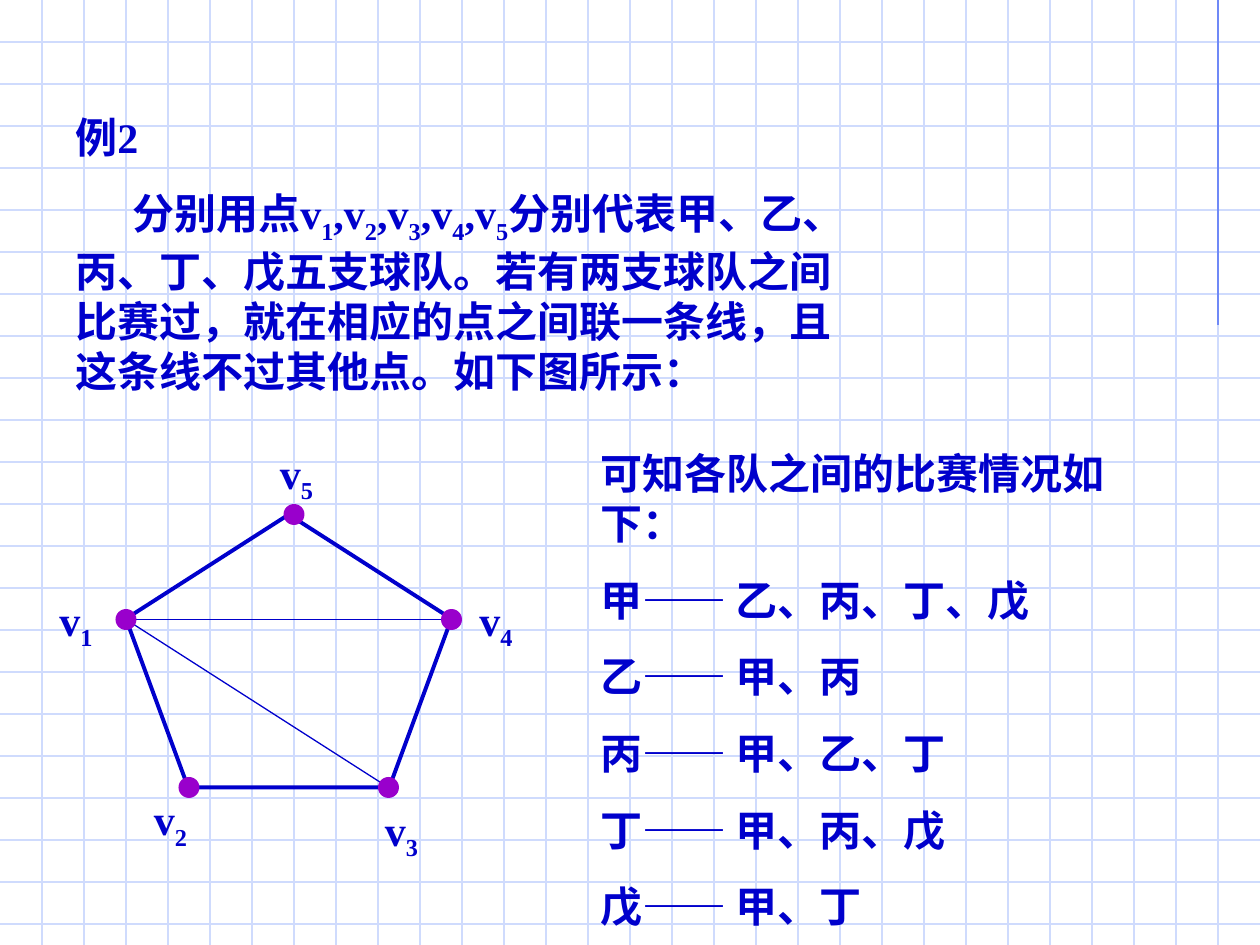
from dataclasses import dataclass

from pptx import Presentation
from pptx.dml.color import RGBColor
from pptx.enum.shapes import MSO_CONNECTOR, MSO_SHAPE
from pptx.enum.text import MSO_AUTO_SIZE, PP_ALIGN
from pptx.oxml.ns import qn
from pptx.util import Pt
from lxml.etree import SubElement


@dataclass(frozen=True)
class Theme:
    """Colours, font and type sizes of the slide."""
    ink: RGBColor = RGBColor(0x00, 0x00, 0xCC)
    node: RGBColor = RGBColor(0x99, 0x00, 0xCC)
    grid: RGBColor = RGBColor(0xCF, 0xDB, 0xFD)
    margin: RGBColor = RGBColor(0x6F, 0x89, 0xF7)
    font: str = "Times New Roman"
    size: int = 24
    space_before: int = 15
    hairline: float = 0.75
    outline: float = 2.25


THEME = Theme()
WIDTH, HEIGHT, GRID_STEP = 720, 540, 24
NODE_SIZE = 12
LABEL_WIDTH, LABEL_HEIGHT = 60, 40

NODES = {
    "v_1": (72, 354),
    "v_2": (108, 450),
    "v_3": (222, 450),
    "v_4": (258, 354),
    "v_5": (168, 294),
}
LABEL_POSITIONS = {
    "v_1": (0, 336),
    "v_2": (54, 450),
    "v_3": (186, 456),
    "v_4": (240, 336),
    "v_5": (126, 252),
}
CHORDS = [("v_1", "v_3"), ("v_1", "v_4")]

EXAMPLE = [
    "例2",
    "分别用点v_1,v_2,v_3,v_4,v_5分别代表甲、乙、丙、丁、戊五支球队。"
    "若有两支球队之间比赛过，就在相应的点之间联一条线，且这条线不过其他点。如下图所示：",
]
MATCHES = {
    "甲": "乙、丙、丁、戊",
    "乙": "甲、丙",
    "丙": "甲、乙、丁",
    "丁": "甲、丙、戊",
    "戊": "甲、丁",
}


def add_line(slide, start, end, color):
    """Draw a thin straight line without a shadow."""
    line = slide.shapes.add_connector(
        MSO_CONNECTOR.STRAIGHT, *(Pt(value) for value in (*start, *end)))
    line.line.color.rgb = color
    line.line.width = Pt(THEME.hairline)
    SubElement(line._element.spPr, qn("a:effectLst"))


def add_span(para, text, subscript=False):
    """Append a styled run, lowered when it is a subscript."""
    span = para.add_run()
    span.text = text
    span.font.name = THEME.font
    span.font.size = Pt(THEME.size)
    span.font.bold = True
    span.font.color.rgb = THEME.ink
    if subscript:
        span._r.get_or_add_rPr().set("baseline", "-25000")


def fill_paragraph(para, text, align):
    """Write text in which an underscore lowers the next character."""
    para.alignment = align
    para.space_before = Pt(THEME.space_before)
    para._p.get_or_add_pPr().set("hangingPunct", "0")
    head, *tails = text.split("_")
    add_span(para, head)
    for tail in tails:
        add_span(para, tail[0], subscript=True)
        if tail[1:]:
            add_span(para, tail[1:])


def add_text(slide, left, top, width, height, lines, align=PP_ALIGN.LEFT):
    """Add a wrapping text box with one paragraph per line and return it."""
    box = slide.shapes.add_textbox(Pt(left), Pt(top), Pt(width), Pt(height))
    frame = box.text_frame
    frame.word_wrap = True
    frame.auto_size = MSO_AUTO_SIZE.SHAPE_TO_FIT_TEXT
    for index, text in enumerate(lines):
        para = frame.add_paragraph() if index else frame.paragraphs[0]
        fill_paragraph(para, text, align)
    return box


def add_grid(slide):
    """Rule the page like squared paper with a margin line."""
    for y in range(GRID_STEP, HEIGHT, GRID_STEP):
        add_line(slide, (0, y), (WIDTH, y), THEME.grid)
    for x in range(GRID_STEP, WIDTH, GRID_STEP):
        add_line(slide, (x, 0), (x, HEIGHT), THEME.grid)
    add_line(slide, (WIDTH - GRID_STEP, 0), (WIDTH - GRID_STEP, 186), THEME.margin)


def add_pentagon(slide):
    """Outline the pentagon that joins neighbouring teams."""
    xs, ys = zip(*NODES.values())
    pentagon = slide.shapes.add_shape(
        MSO_SHAPE.REGULAR_PENTAGON, Pt(min(xs)), Pt(min(ys)),
        Pt(max(xs) - min(xs)), Pt(max(ys) - min(ys)))
    pentagon.shadow.inherit = False
    pentagon.fill.background()
    pentagon.line.color.rgb = THEME.ink
    pentagon.line.width = Pt(THEME.outline)


def add_node(slide, center):
    """Draw the dot of one team."""
    x, y = center
    node = slide.shapes.add_shape(
        MSO_SHAPE.FLOWCHART_CONNECTOR, Pt(x - NODE_SIZE / 2), Pt(y - NODE_SIZE / 2),
        Pt(NODE_SIZE), Pt(NODE_SIZE))
    node.shadow.inherit = False
    node.fill.solid()
    node.fill.fore_color.rgb = THEME.node
    node.line.fill.background()


def add_graph(slide):
    """Draw the match graph with its labels, chords and nodes."""
    add_pentagon(slide)
    for name, position in LABEL_POSITIONS.items():
        add_text(slide, *position, LABEL_WIDTH, LABEL_HEIGHT, [name], PP_ALIGN.RIGHT)
    for start, end in CHORDS:
        add_line(slide, NODES[start], NODES[end], THEME.ink)
    for center in NODES.values():
        add_node(slide, center)


def main():
    """Build the slide and save the deck."""
    deck = Presentation()
    deck.slide_width, deck.slide_height = Pt(WIDTH), Pt(HEIGHT)
    page = deck.slides.add_slide(deck.slide_layouts[6])
    add_grid(page)
    example = add_text(page, 36, 60, 462, 113, EXAMPLE)
    body = example.text_frame.paragraphs[1]
    body._p.get_or_add_pPr().set("indent", str(Pt(32.5)))
    add_graph(page)
    results = [f"{team}—— {rivals}" for team, rivals in MATCHES.items()]
    add_text(page, 336, 252, 342, 255, ["可知各队之间的比赛情况如下：", *results])
    deck.save("out.pptx")


if __name__ == "__main__":
    main()
